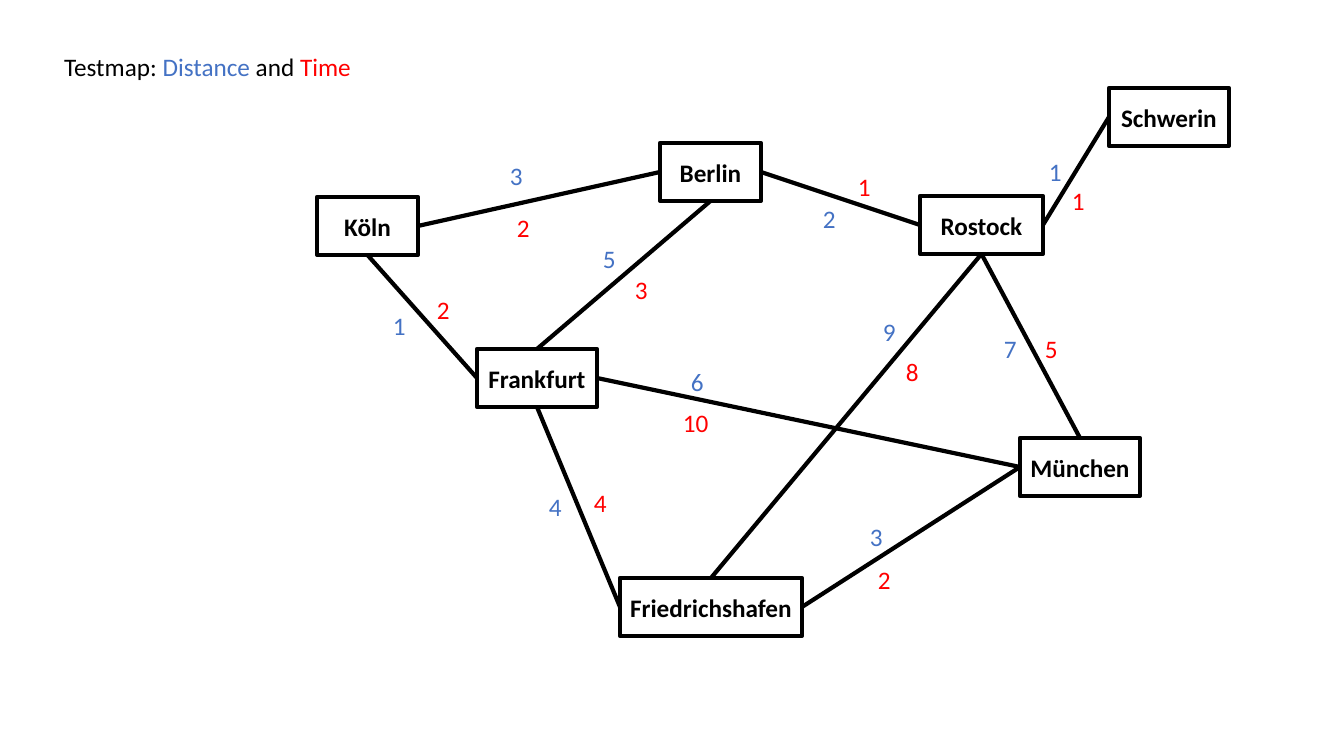
from pptx import Presentation
from pptx import util as u
from pptx.dml.color import RGBColor
from pptx.enum import shapes, text
from pptx.oxml.ns import qn
from lxml import etree

PIXEL = 914400 / 100.8
BLACK, BLUE, RED = "000000", "4472C4", "FF0000"
TOP, LEFT, BOTTOM, RIGHT = range(4)  # connection sites of a rectangle


def px(*lengths):
    """Turn pixel lengths into a list of EMU lengths."""
    return [u.Emu(round(length * PIXEL)) for length in lengths]


def add_run(paragraph, words, color, bold=False):
    """Append one 18 pt Calibri run in the given hex colour."""
    run = paragraph.add_run()
    run.text = words
    run.font.name, run.font.size, run.font.bold = "Calibri", u.Pt(18), bold
    run.font.color.rgb = RGBColor.from_string(color)


presentation = Presentation()
presentation.slide_width, presentation.slide_height = px(1344, 756)
slide = presentation.slides.add_slide(presentation.slide_layouts[5])

# Title, which also serves as the colour key
title = slide.shapes.title
title.left, title.top, title.width, title.height = px(54, 46, 317, 40)
title.text_frame.word_wrap = False
title.text_frame.auto_size = text.MSO_AUTO_SIZE.NONE
title.text_frame.vertical_anchor = text.MSO_ANCHOR.TOP
paragraph = title.text_frame.paragraphs[0]
paragraph.alignment = text.PP_ALIGN.LEFT
for words, color in [("Testmap: ", BLACK), ("Distance", BLUE),
                     (" and ", BLACK), ("Time", RED)]:
    add_run(paragraph, words, color)

# Cities: left, top, width
cities = {
    "Berlin": (660, 143, 101),
    "Frankfurt": (477, 349, 120),
    "München": (1020, 438, 120),
    "Friedrichshafen": (620, 578, 182),
    "Köln": (317, 197, 101),
    "Rostock": (920, 196, 123),
    "Schwerin": (1109, 88, 120),
}
city_shapes = {}
for name, (left, top, width) in cities.items():
    shape = slide.shapes.add_shape(shapes.MSO_SHAPE.RECTANGLE,
                                   *px(left, top, width, 58))
    shape.shadow.inherit = False
    shape.fill.background()
    shape.line.color.rgb = RGBColor.from_string(BLACK)
    shape.line.width = u.Pt(3)
    shape.text_frame.word_wrap = False
    shape.text_frame.vertical_anchor = text.MSO_ANCHOR.MIDDLE
    paragraph = shape.text_frame.paragraphs[0]
    paragraph.alignment = text.PP_ALIGN.CENTER
    add_run(paragraph, name, BLACK, bold=True)
    city_shapes[name] = shape

# Roads: start, site, end, site, then distance and time as (value, left, top)
roads = [
    ("Köln", RIGHT, "Berlin", LEFT, (3, 500, 155), (2, 507, 207)),
    ("Köln", BOTTOM, "Frankfurt", LEFT, (1, 383, 305), (2, 427, 289)),
    ("Berlin", BOTTOM, "Frankfurt", TOP, (5, 593, 238), (3, 625, 269)),
    ("Berlin", RIGHT, "Rostock", LEFT, (2, 813, 198), (1, 848, 166)),
    ("Frankfurt", RIGHT, "München", LEFT, (6, 681, 361), (10, 673, 402)),
    ("Frankfurt", BOTTOM, "Friedrichshafen", LEFT, (4, 539, 486), (4, 584, 482)),
    ("Rostock", BOTTOM, "Friedrichshafen", TOP, (9, 873, 311), (8, 896, 351)),
    ("Rostock", BOTTOM, "München", TOP, (7, 994, 328), (5, 1035, 328)),
    ("Friedrichshafen", RIGHT, "München", LEFT, (3, 860, 516), (2, 868, 559)),
    ("Rostock", RIGHT, "Schwerin", LEFT, (1, 1039, 151), (1, 1062, 180)),
]
for start, start_site, end, end_site, distance, time in roads:
    road = slide.shapes.add_connector(shapes.MSO_CONNECTOR.STRAIGHT, 0, 0, 0, 0)
    road.begin_connect(city_shapes[start], start_site)
    road.end_connect(city_shapes[end], end_site)
    road.line.color.rgb = RGBColor.from_string(BLACK)
    road.line.width = u.Pt(3)
    etree.SubElement(road._element.spPr, qn("a:effectLst"))
    for (value, left, top), color in [(distance, BLUE), (time, RED)]:
        label_width = 34 if value < 10 else 51
        label = slide.shapes.add_textbox(*px(left, top, label_width, 40))
        label.text_frame.word_wrap = True
        add_run(label.text_frame.paragraphs[0], str(value), color)

presentation.save("out.pptx")
